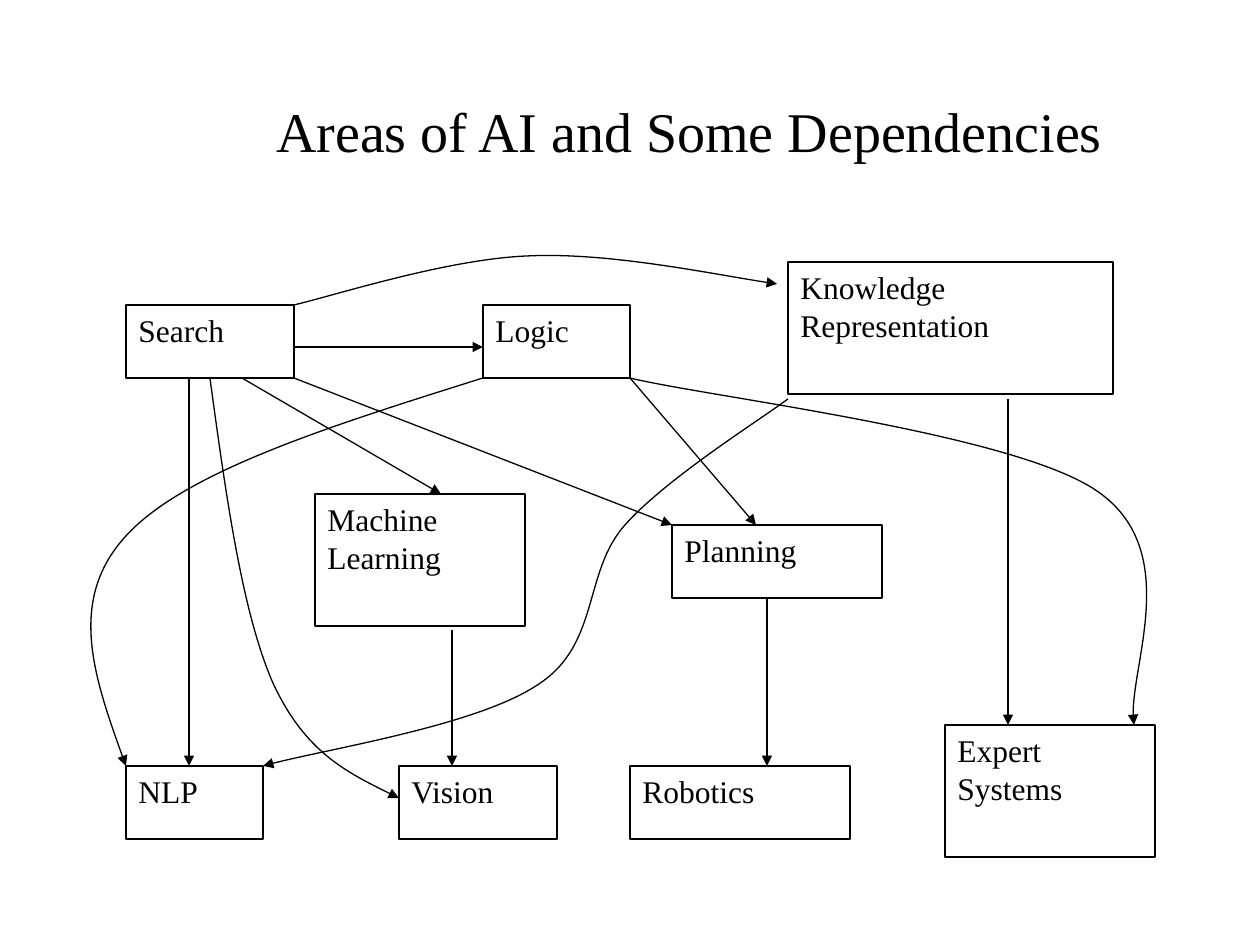
from lxml.etree import SubElement
from pptx import Presentation
from pptx.dml.color import RGBColor
from pptx.enum.shapes import MSO_CONNECTOR, MSO_SHAPE
from pptx.enum.text import MSO_ANCHOR, PP_ALIGN
from pptx.oxml.ns import qn
from pptx.util import Emu, Pt

EMU_PER_PX = 914400 / 126
FONT = "Times New Roman"
COLORS = {"ink": "000000"}
ONE_LINE, TWO_LINES = 73, 132

# label, left, top, width, height
AREAS = [
    ("Search", 126, 305, 168, ONE_LINE),
    ("Vision", 399, 766, 158, ONE_LINE),
    ("Planning", 672, 525, 210, ONE_LINE),
    ("Machine Learning", 315, 494, 210, TWO_LINES),
    ("Knowledge Representation", 788, 262, 325, TWO_LINES),
    ("Logic", 483, 305, 147, ONE_LINE),
    ("Expert Systems", 945, 725, 210, TWO_LINES),
    ("Robotics", 630, 766, 220, ONE_LINE),
    ("NLP", 126, 766, 137, ONE_LINE),
]

STRAIGHT_DEPENDENCIES = [
    ((189, 378), (189, 766)),    # Search to NLP
    ((294, 347), (483, 347)),    # Search to Logic
    ((294, 378), (672, 525)),    # Search to Planning
    ((242, 378), (441, 494)),    # Search to Machine Learning
    ((630, 378), (756, 525)),    # Logic to Planning
    ((1008, 399), (1008, 725)),  # Knowledge Representation to Expert Systems
    ((452, 630), (452, 766)),    # Machine Learning to Vision
    ((767, 599), (767, 766)),    # Planning to Robotics
]

# start point, then two control points and an end point for each Bézier piece
CURVED_DEPENDENCIES = [
    # Search to Knowledge Representation
    [(294, 305), (333, 296), (447, 259), (528, 256),
     (609, 252), (726, 277), (777, 284)],
    # Search to Vision
    [(210, 378), (226, 495), (242, 612), (273, 683),
     (305, 752), (352, 775), (399, 798)],
    # Logic to NLP
    [(483, 378), (334, 425), (185, 471), (126, 536),
     (67, 600), (96, 683), (126, 766)],
    # Logic to Expert Systems
    [(630, 378), (708, 397), (1013, 433), (1097, 491),
     (1182, 549), (1126, 675), (1134, 725)],
    # Knowledge Representation to NLP
    [(788, 399), (760, 420), (667, 478), (625, 525), (583, 572),
     (600, 644), (539, 684), (479, 725), (320, 750), (263, 766)],
]


def px(length):
    return Emu(round(length * EMU_PER_PX))


def color(name):
    return RGBColor.from_string(COLORS[name])


def set_text(text_frame, text, size, align, anchor):
    text_frame.word_wrap = True
    text_frame.vertical_anchor = anchor
    paragraph = text_frame.paragraphs[0]
    paragraph.text = text
    paragraph.alignment = align
    paragraph.font.name = FONT
    paragraph.font.size = Pt(size)
    paragraph.font.color.rgb = color("ink")


def set_outline(line):
    line.color.rgb = color("ink")
    line.width = Pt(0.75)


def add_arrowhead(line):
    SubElement(line._get_or_add_ln(), qn("a:tailEnd"), type="triangle")


def add_title(slide, text):
    title = slide.shapes.add_textbox(px(147), px(29), px(1085), px(202))
    set_text(title.text_frame, text, 32, PP_ALIGN.CENTER, MSO_ANCHOR.MIDDLE)


def add_area(slide, label, left, top, width, height):
    area = slide.shapes.add_shape(
        MSO_SHAPE.RECTANGLE, px(left), px(top), px(width), px(height))
    area.shadow.inherit = False
    area.fill.background()
    set_outline(area.line)
    set_text(area.text_frame, label, 18, PP_ALIGN.LEFT, MSO_ANCHOR.TOP)


def add_straight_arrow(slide, start, end):
    arrow = slide.shapes.add_connector(
        MSO_CONNECTOR.STRAIGHT, *map(px, start + end))
    set_outline(arrow.line)
    add_arrowhead(arrow.line)
    SubElement(arrow._element.spPr, qn("a:effectLst"))


def add_curved_arrow(slide, points):
    """Draw the points as a polyline, then turn each three legs into a Bézier."""
    builder = slide.shapes.build_freeform(*points[0], scale=EMU_PER_PX)
    builder.add_line_segments(points[1:], close=False)
    arrow = builder.convert_to_shape()
    outline = arrow._element.spPr.find(".//" + qn("a:path"))
    legs = outline.findall(qn("a:lnTo"))
    for first in range(0, len(legs), 3):
        bezier = SubElement(outline, qn("a:cubicBezTo"))
        for leg in legs[first:first + 3]:
            bezier.append(leg[0])
            outline.remove(leg)
    arrow.shadow.inherit = False
    arrow.fill.background()
    set_outline(arrow.line)
    add_arrowhead(arrow.line)


def main():
    presentation = Presentation()
    presentation.slide_width, presentation.slide_height = px(1260), px(945)
    slide = presentation.slides.add_slide(presentation.slide_layouts[6])
    add_title(slide, "Areas of AI and Some Dependencies")
    for area in AREAS:
        add_area(slide, *area)
    for start, end in STRAIGHT_DEPENDENCIES:
        add_straight_arrow(slide, start, end)
    for points in CURVED_DEPENDENCIES:
        add_curved_arrow(slide, points)
    presentation.save("out.pptx")


if __name__ == "__main__":
    main()
